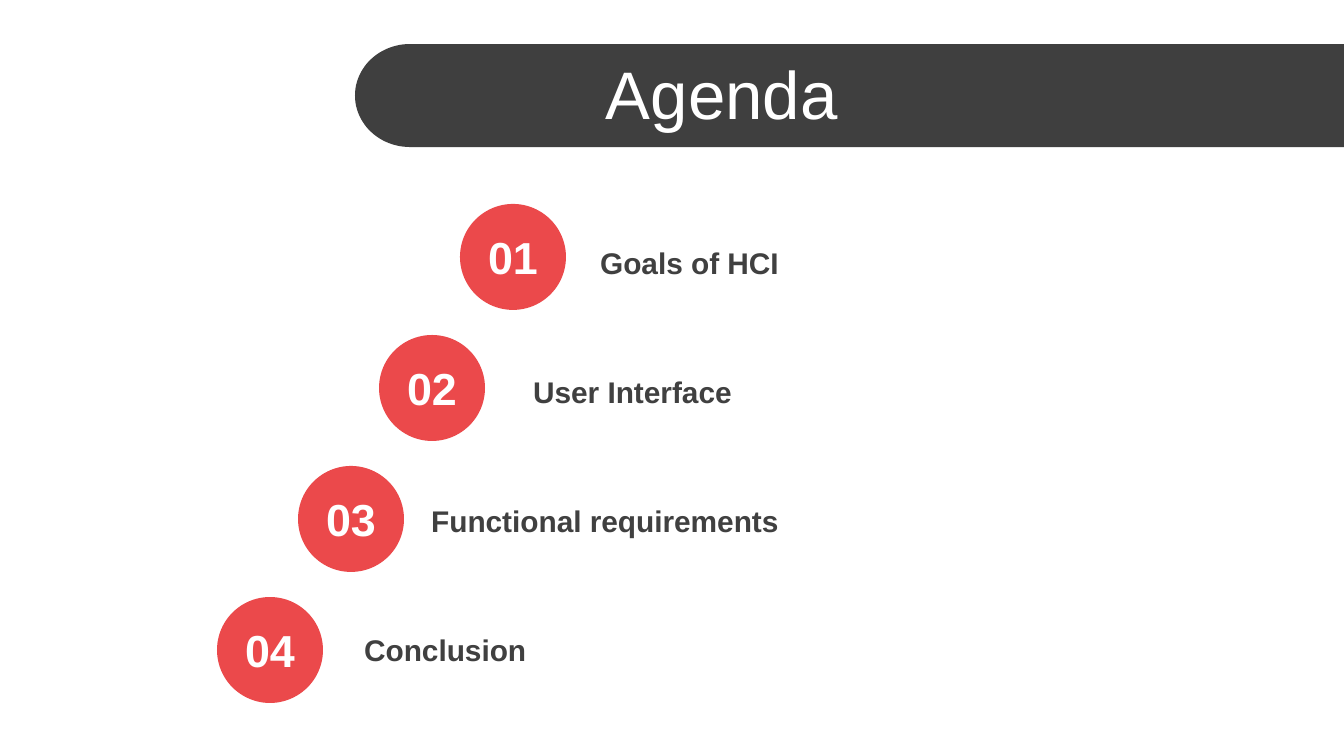
from math import cos, pi, sin

from pptx import Presentation
from pptx.dml.color import RGBColor
from pptx.enum.shapes import MSO_SHAPE as Shape
from pptx.enum.text import MSO_ANCHOR as Anchor, MSO_AUTO_SIZE as AutoSize, PP_ALIGN as Align
from pptx.util import Pt

PX = 914400 / 134.4
SLIDE_W, SLIDE_H = 1344, 756

WHITE = RGBColor(0xFF, 0xFF, 0xFF)
BAR_GRAY = RGBColor(0x3F, 0x3F, 0x3F)
TEXT_GRAY = RGBColor(0x40, 0x40, 0x40)
RED = RGBColor(0xEB, 0x49, 0x4B)

# Agenda topic and the left edge of its text box
TOPICS = [
    ("Goals of HCI", 587),
    ("User Interface", 520),
    ("Functional requirements", 418),
    ("Conclusion", 351),
]
DISC = 106
FIRST_DISC = (460, 204)
DISC_STEP = (-81, 131)
FIRST_TOPIC_TOP, TOPIC_STEP = 238, 129


def px(length):
    return round(length * PX)


def paint(shape, color):
    shape.fill.solid()
    shape.fill.fore_color.rgb = color
    shape.line.fill.background()
    shape.shadow.inherit = False


def add_text(slide, text, left, top, width, height, size, color, bold=True, align=Align.LEFT):
    box = slide.shapes.add_textbox(px(left), px(top), px(width), px(height))
    frame = box.text_frame
    frame.word_wrap = True
    frame.vertical_anchor = Anchor.MIDDLE
    frame.auto_size = AutoSize.SHAPE_TO_FIT_TEXT if bold else AutoSize.NONE
    paragraph = frame.paragraphs[0]
    paragraph.text = text
    paragraph.alignment = align
    font = paragraph.font
    font.name, font.size, font.bold = "Arial", Pt(size), bold
    font.color.rgb = color
    return frame


def add_title_bar(slide, left, top, height, cap):
    """Bar that runs to the right slide edge, with a rounded left end."""
    steps = 48
    middle, radius = top + height / 2, height / 2
    angles = [pi * step / steps for step in range(steps + 1)]
    rounded_end = [
        (px(left + cap - cap * sin(angle)), px(middle + radius * cos(angle)))
        for angle in angles
    ]
    builder = slide.shapes.build_freeform(px(SLIDE_W), px(top))
    builder.add_line_segments([(px(SLIDE_W), px(top + height)), *rounded_end])
    paint(builder.convert_to_shape(), BAR_GRAY)


def add_number_disc(slide, number, left, top):
    disc = slide.shapes.add_shape(Shape.OVAL, px(left), px(top), px(DISC), px(DISC))
    paint(disc, RED)
    add_text(slide, f"{number:02d}", left, top + 19, DISC, 67, 24, WHITE, align=Align.CENTER)


def main():
    deck = Presentation()
    deck.slide_width, deck.slide_height = px(SLIDE_W), px(SLIDE_H)
    slide = deck.slides.add_slide(deck.slide_layouts[6])

    add_title_bar(slide, 355, 44, 103, 55)
    title = add_text(slide, "Agenda", 411, 50, 933, 85, 36, WHITE, bold=False)
    title.margin_left = px(195)

    for index, (topic, topic_left) in enumerate(TOPICS):
        disc_left, disc_top = (
            start + index * step for start, step in zip(FIRST_DISC, DISC_STEP)
        )
        add_number_disc(slide, index + 1, disc_left, disc_top)
        topic_top = FIRST_TOPIC_TOP + index * TOPIC_STEP
        add_text(slide, topic, topic_left, topic_top, 677, 50, 16, TEXT_GRAY)

    deck.save("out.pptx")


if __name__ == "__main__":
    main()
